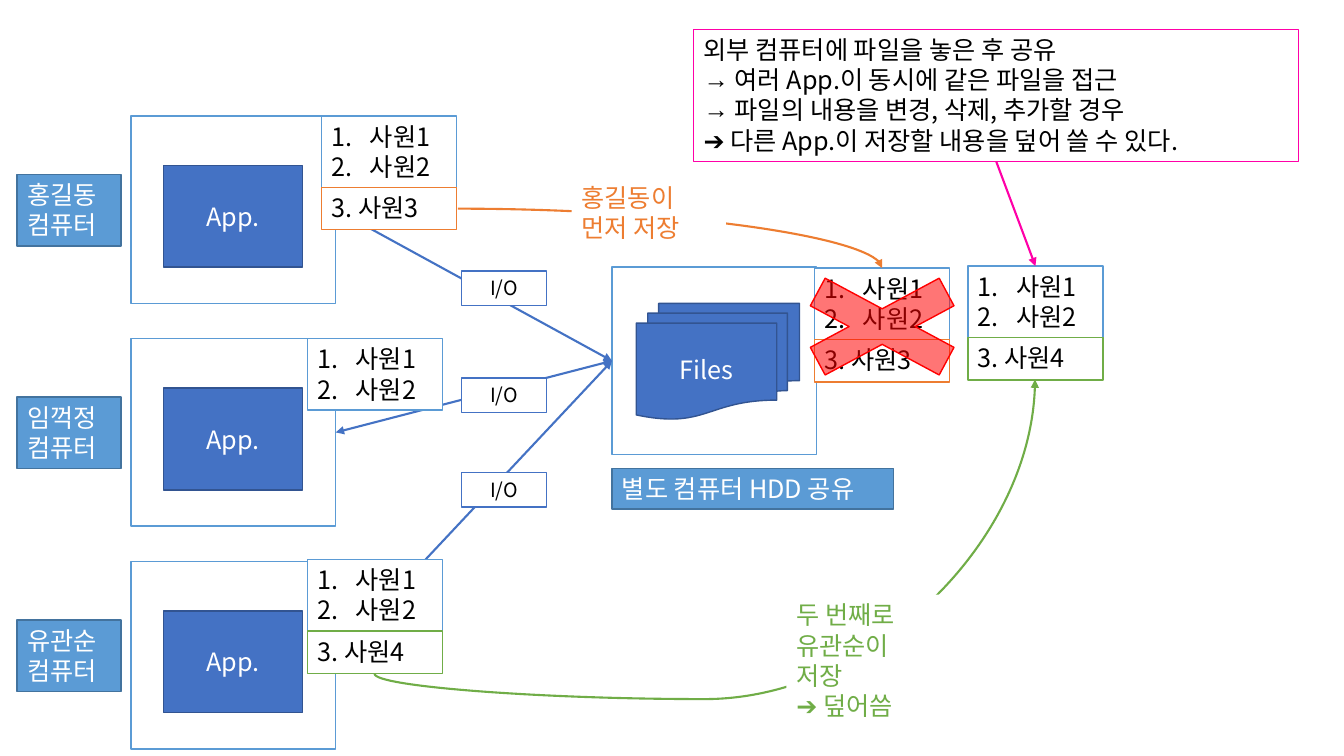
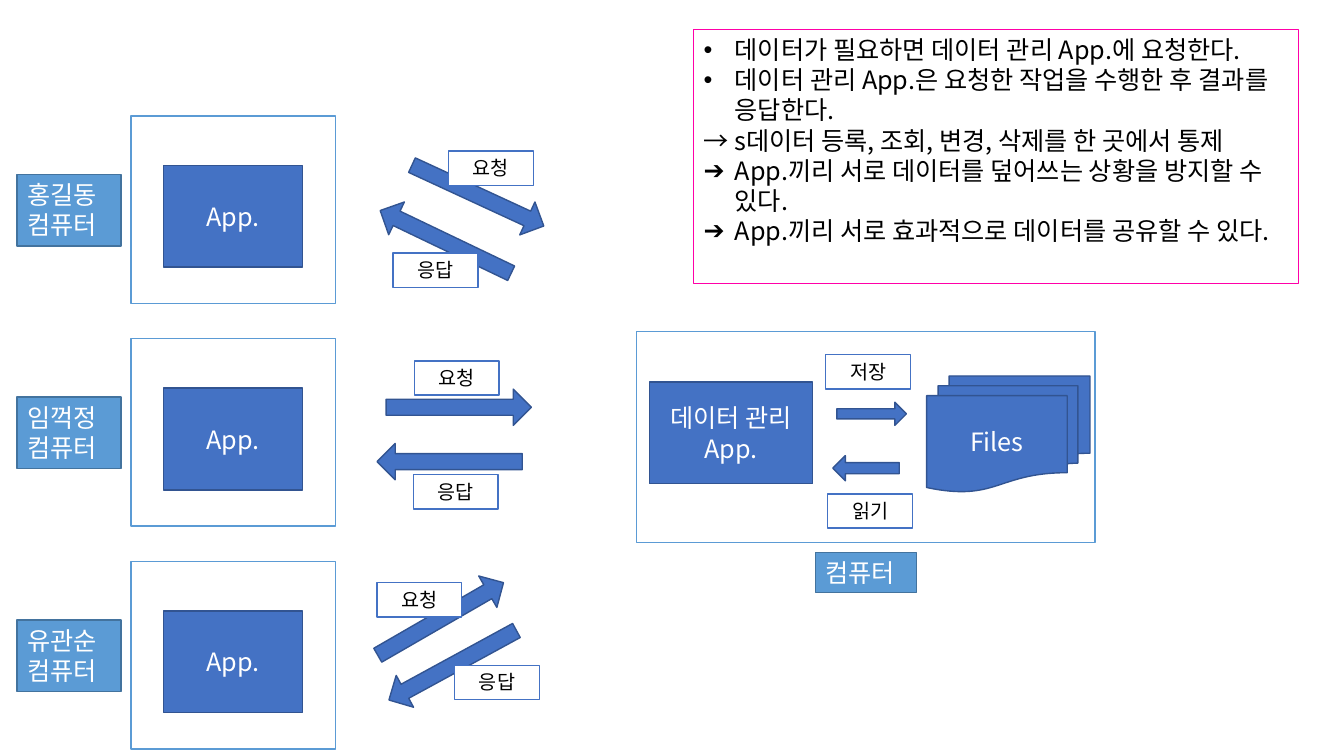
"""Build two slides: files shared between computers, and a data management app."""
from lxml import etree
from pptx import Presentation
from pptx.dml.color import RGBColor
from pptx.enum.shapes import MSO_CONNECTOR, MSO_SHAPE
from pptx.enum.text import MSO_ANCHOR, PP_ALIGN
from pptx.oxml.ns import qn
from pptx.util import Inches, Pt

RECTANGLE = MSO_SHAPE.RECTANGLE
DOCUMENTS = MSO_SHAPE.FLOWCHART_MULTIDOCUMENT
CROSS = MSO_SHAPE.MATH_MULTIPLY
ARROW = MSO_SHAPE.LEFT_ARROW
STRAIGHT = MSO_CONNECTOR.STRAIGHT
CURVE = MSO_CONNECTOR.CURVE
LEFT, CENTER = PP_ALIGN.LEFT, PP_ALIGN.CENTER
TOP, MIDDLE = MSO_ANCHOR.TOP, MSO_ANCHOR.MIDDLE

FONT = "Noto Sans CJK KR"
WHITE, BLACK = "FFFFFF", "000000"
BLUE, DARK_BLUE = "4472C4", "325491"
SKY, DARK_SKY = "5B9BD5", "43739E"
ORANGE, GREEN, PINK, RED = "ED7D31", "70AD47", "FF00A8", "FF0000"

FIRST_ROW, ROW = 1.15, 2.21
COMPUTER_LEFT, COMPUTER_WIDTH, COMPUTER_HEIGHT = 1.3, 2.03, 1.86
LIST_WIDTH, LIST_HEIGHT, ENTRY_HEIGHT = 1.34, 0.71, 0.42
TAG_WIDTH, TAG_HEIGHT = 0.84, 0.34
NOTE_LEFT, NOTE_TOP, NOTE_WIDTH = 6.88, 0.29, 6

app_style = dict(fill=BLUE, line=DARK_BLUE, color=WHITE, align=CENTER, anchor=MIDDLE)
name_style = dict(fill=SKY, line=DARK_SKY, color=WHITE)
tag_style = dict(line=BLUE, size=14, align=CENTER)


def draw(slide, kind, at, text="", fill=WHITE, line=SKY, width=1, size=18, color=BLACK,
         align=LEFT, anchor=TOP, markers=(), indent=0.31):
    """Add a shape with its text, one paragraph a line, and optional list markers."""
    shape = slide.shapes.add_shape(kind, *(Inches(length) for length in at))
    shape.shadow.inherit = False
    shape.fill.solid()
    shape.fill.fore_color.rgb = RGBColor.from_string(fill)
    if line:
        shape.line.color.rgb = RGBColor.from_string(line)
        shape.line.width = Pt(width)
    else:
        shape.line.fill.background()
    if not text:
        return shape
    frame = shape.text_frame
    frame.word_wrap = True
    frame.vertical_anchor = anchor
    frame.text = text
    for number, paragraph in enumerate(frame.paragraphs):
        paragraph.alignment = align
        marker = markers[number] if markers else ""
        if marker:
            properties = paragraph._p.get_or_add_pPr()
            properties.set("marL", str(Inches(indent)))
            properties.set("indent", str(-Inches(indent)))
            if marker == "1.":
                etree.SubElement(properties, qn("a:buAutoNum"), type="arabicPeriod")
            else:
                etree.SubElement(properties, qn("a:buFont"), typeface="Arial")
                etree.SubElement(properties, qn("a:buChar"), char=marker)
        for run in paragraph.runs:
            run.font.size = Pt(size)
            run.font.color.rgb = RGBColor.from_string(color)
            run.font.name = FONT
            etree.SubElement(run._r.get_or_add_rPr(), qn("a:ea"), typeface=FONT)
    return shape


def connect(slide, kind, start, end, color, ends=("tailEnd",)):
    """Add a connector with triangular arrowheads at the named ends."""
    connector = slide.shapes.add_connector(kind, *(Inches(length) for length in start + end))
    connector.line.color.rgb = RGBColor.from_string(color)
    connector.line.width = Pt(1.5)
    properties = connector.element.spPr
    outline = properties.find(qn("a:ln"))
    for name in ends:
        etree.SubElement(outline, qn("a:" + name), type="triangle")
    etree.SubElement(properties, qn("a:effectLst"))
    return connector


presentation = Presentation()
presentation.slide_width = Inches(13.33)
presentation.slide_height = Inches(7.5)
blank_layout = presentation.slide_layouts[6]
sharing = presentation.slides.add_slide(blank_layout)
managed = presentation.slides.add_slide(blank_layout)

sharing_computers, managed_computers = [], []
for slide, computers in [(sharing, sharing_computers), (managed, managed_computers)]:
    for row, owner in enumerate(["홍길동", "임꺽정", "유관순"]):
        top = FIRST_ROW + row * ROW
        computers.append(draw(slide, RECTANGLE, (COMPUTER_LEFT, top, COMPUTER_WIDTH, COMPUTER_HEIGHT)))
        draw(slide, RECTANGLE, (0.17, top + 0.58, 1.03, 0.71), owner + "\n컴퓨터", **name_style)
        draw(slide, RECTANGLE, (1.62, top + 0.49, 1.38, 1.01), "App.", **app_style)

server = draw(sharing, RECTANGLE, (6.07, 2.65, COMPUTER_WIDTH, COMPUTER_HEIGHT))
draw(managed, RECTANGLE, (6.31, 3.29, 4.55, 2.09))
for slide, left, top in [(sharing, 6.31, 3.01), (managed, 9.19, 3.73)]:
    draw(slide, DOCUMENTS, (left, top, 1.62, 1.15), "Files", **app_style)
draw(sharing, RECTANGLE, (6.07, 4.65, 2.79, 0.4), "별도 컴퓨터 HDD 공유", **name_style)
draw(managed, RECTANGLE, (8.09, 5.48, 1, 0.4), "컴퓨터", **name_style)
draw(managed, RECTANGLE, (6.44, 3.79, 1.62, 1.01), "데이터 관리\nApp.", **app_style)

sharing_note = draw(
    sharing, RECTANGLE, (NOTE_LEFT, NOTE_TOP, NOTE_WIDTH, 1.31),
    "외부 컴퓨터에 파일을 놓은 후 공유\n"
    "여러 App.이 동시에 같은 파일을 접근\n"
    "파일의 내용을 변경, 삭제, 추가할 경우\n"
    "➔ 다른 App.이 저장할 내용을 덮어 쓸 수 있다.",
    line=PINK, width=0.75, markers=["", "→", "→", ""])
draw(
    managed, RECTANGLE, (NOTE_LEFT, NOTE_TOP, NOTE_WIDTH, 2.52),
    "데이터가 필요하면 데이터 관리 App.에 요청한다.\n"
    "데이터 관리 App.은 요청한 작업을 수행한 후 결과를 응답한다.\n"
    "→ s데이터 등록, 조회, 변경, 삭제를 한 곳에서 통제\n"
    "App.끼리 서로 데이터를 덮어쓰는 상황을 방지할 수 있다.\n"
    "App.끼리 서로 효과적으로 데이터를 공유할 수 있다.",
    line=PINK, width=0.75, markers=["•", "•", "", "➔", "➔"])

for computer in sharing_computers:
    connector = connect(sharing, STRAIGHT, (3.33, 2.08), (6.07, 3.58), BLUE, ("headEnd", "tailEnd"))
    connector.begin_connect(computer, 3)
    connector.end_connect(server, 1)
for top in [2.69, 3.75, 4.69]:
    draw(sharing, RECTANGLE, (4.58, top, TAG_WIDTH, TAG_HEIGHT), "I/O", **tag_style)

for left, top, entry, color in [
    (3.19, 1.15, "3. 사원3", ORANGE),
    (3.05, 3.36, "", None),
    (3.05, 5.55, "3. 사원4", GREEN),
    (8.08, 2.66, "3. 사원3", ORANGE),
    (9.6, 2.64, "3. 사원4", GREEN),
]:
    staff_list = draw(sharing, RECTANGLE, (left, top, LIST_WIDTH, LIST_HEIGHT), "사원1\n사원2",
                      markers=["1.", "1."], indent=0.38)
    if entry:
        draw(sharing, RECTANGLE, (left, top + LIST_HEIGHT, LIST_WIDTH, ENTRY_HEIGHT), entry, line=color)

cross = draw(sharing, CROSS, (7.52, 2.58, 2.46, 1.32), fill=RED, line=RED)
cross_color = cross.element.spPr.find(qn("a:solidFill")).find(qn("a:srgbClr"))
etree.SubElement(cross_color, qn("a:alpha"), val="54000")

first_save = connect(sharing, CURVE, (4.54, 2.07), (8.75, 2.66), ORANGE)
first_save.element.spPr.find(qn("a:prstGeom")).set("prst", "curvedConnector2")
second_save = connect(sharing, CURVE, (8.45, 8.5), (5.53, 1.95), GREEN)
second_save.element.spPr.find(qn("a:xfrm")).set("rot", "5400000")
bend = second_save.element.spPr.find(qn("a:prstGeom")).find(qn("a:avLst"))
etree.SubElement(bend, qn("a:gd"), name="adj1", fmla="val -8600")
note_pointer = connect(sharing, STRAIGHT, (9.88, 1.6), (10.27, 2.64), PINK)
note_pointer.begin_connect(sharing_note, 2)
note_pointer.end_connect(staff_list, 0)

draw(sharing, RECTANGLE, (5.67, 1.76, 1.53, 0.71), "홍길동이 먼저 저장", line=None, color=ORANGE)
draw(sharing, RECTANGLE, (7.8, 5.9, 1.53, 1.31), "두 번째로\n유관순이\n저장\n➔ 덮어씀", line=None, color=GREEN)

for left, top, width, height, angle in [
    (4.02, 1.76, 1.44, 0.36, 204.8),
    (3.7, 2.22, 1.44, 0.36, 25.6),
    (3.83, 3.86, 1.44, 0.36, 180),
    (3.74, 4.4, 1.44, 0.36, 0),
    (3.65, 5.96, 1.44, 0.36, 150),
    (3.77, 6.42, 1.44, 0.36, 331.4),
    (8.3, 3.99, 0.69, 0.23, 180),
    (8.26, 4.52, 0.66, 0.25, 0),
]:
    arrow = draw(managed, ARROW, (left, top, width, height), fill=BLUE, line=DARK_BLUE)
    arrow.adjustments[0] = 0.44
    arrow.rotation = angle

for left, top, text in [
    (4.45, 1.5, "요청"), (3.9, 2.51, "응답"),
    (4.11, 3.58, "요청"), (4.1, 4.71, "응답"),
    (3.74, 5.78, "요청"), (4.51, 6.6, "응답"),
    (8.19, 3.52, "저장"), (8.21, 4.9, "읽기"),
]:
    draw(managed, RECTANGLE, (left, top, TAG_WIDTH, TAG_HEIGHT), text, **tag_style)

presentation.save("out.pptx")
